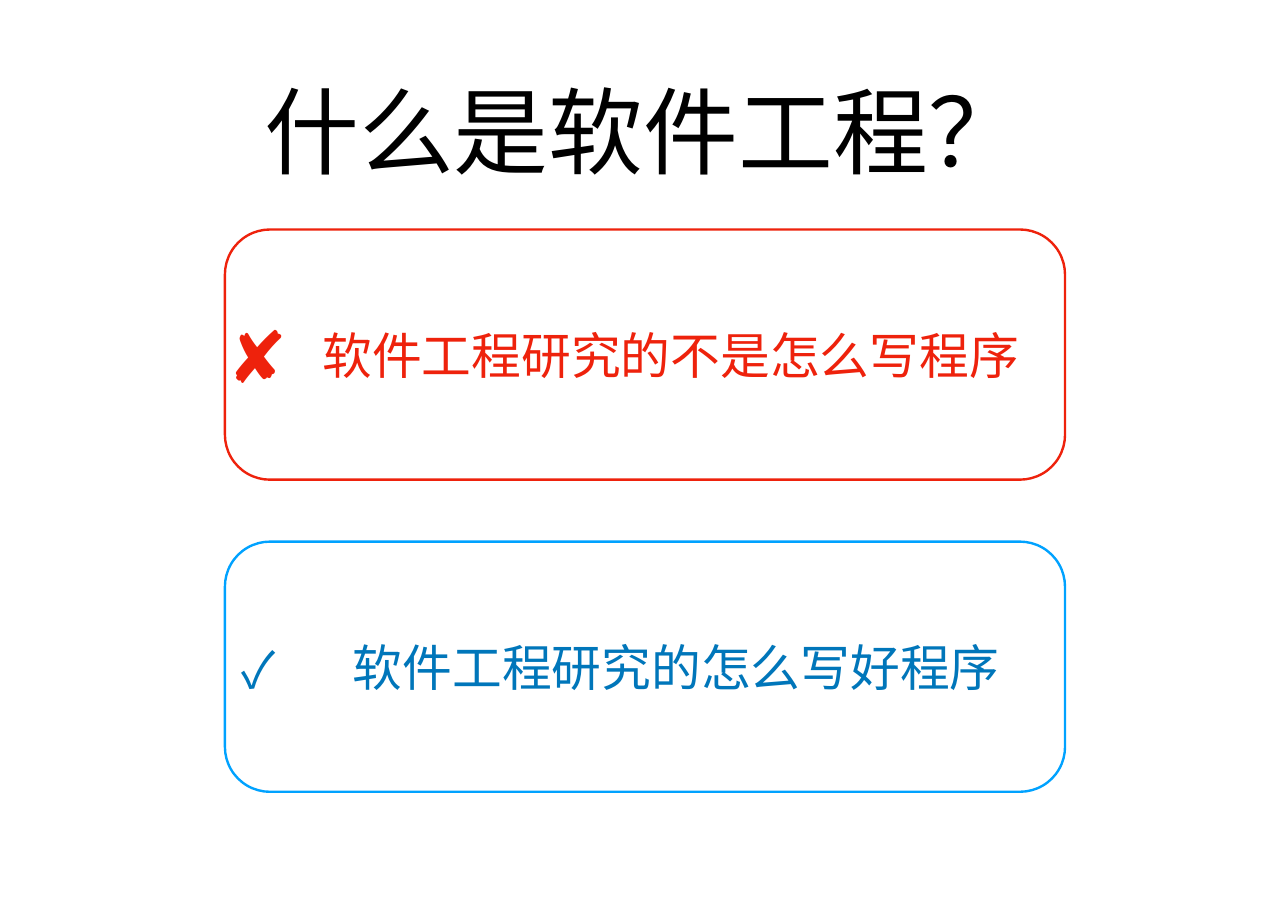
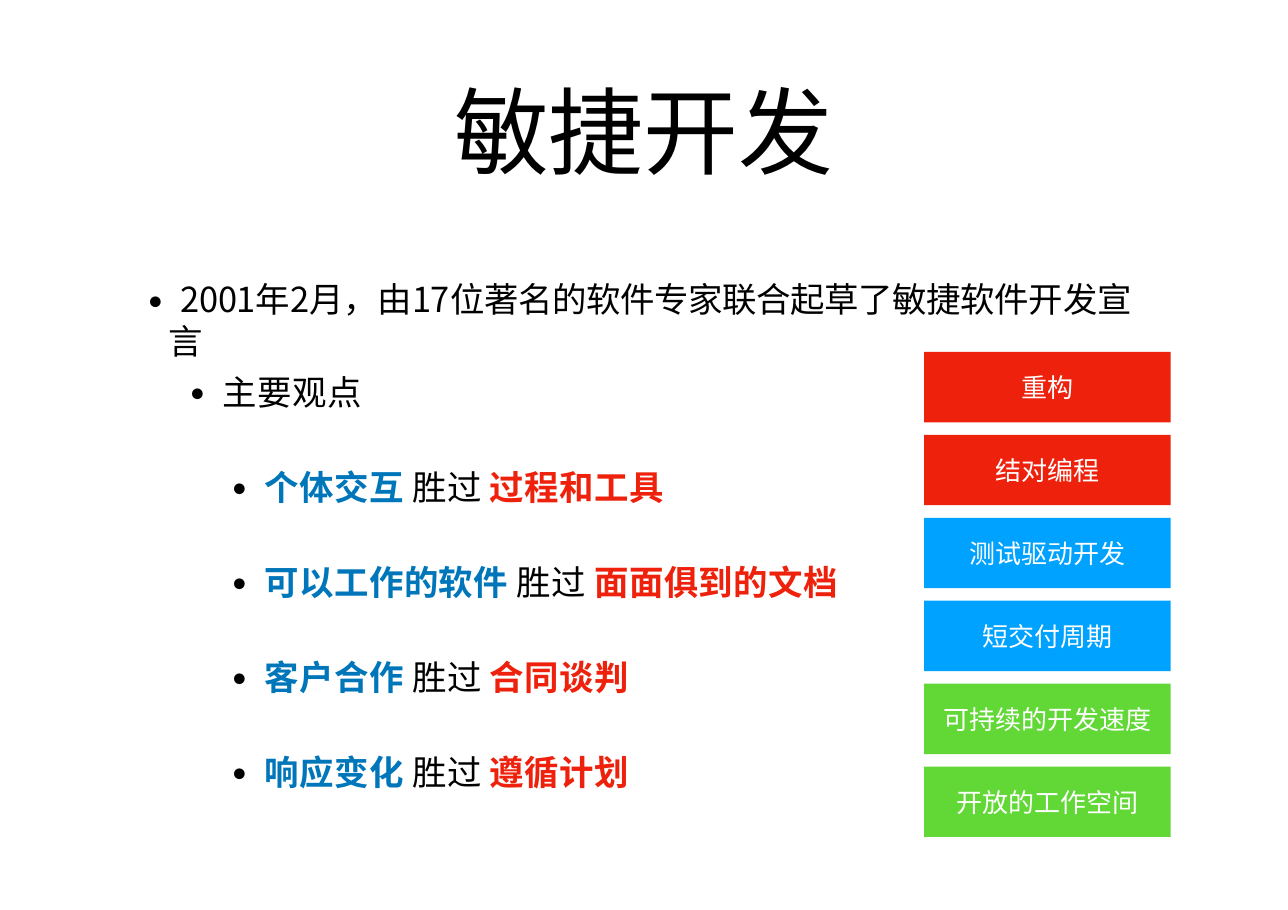
from pptx import Presentation
from pptx.dml.color import RGBColor
from pptx.enum.shapes import MSO_SHAPE
from pptx.enum.text import MSO_ANCHOR, PP_ALIGN
from pptx.oxml.ns import qn
from pptx.util import Pt
from lxml.etree import SubElement

WIDE, HIGH = 841.68, 594.72
SC, TC, JP = (f"Noto Sans CJK {code}" for code in ("SC", "TC", "JP"))
BLACK, WHITE = "000000", "FFFFFF"
RED, BLUE, SKY, GREEN = "EE220C", "0076BA", "00A2FF", "61D836"


def tint(code):
    """Turn a hex string into a colour."""
    return RGBColor.from_string(code)


def write(para, text, size=22.5, font=SC, color=BLACK, bold=False, space=0):
    """Add a formatted run to a paragraph."""
    run = para.add_run()
    run.text = text
    run.font.size = Pt(size)
    run.font.bold = bold
    run.font.color.rgb = tint(color)
    run.font.name = font
    props = run.font._element
    if space:
        props.set("spc", str(round(space * 100)))
    for tag in ("a:ea", "a:sym"):
        SubElement(props, qn(tag), typeface=font)


def mark(para, sign, left, hang, font, color, scale=100):
    """Give a paragraph a bullet with a hanging indent."""
    props = para._p.get_or_add_pPr()
    props.set("marL", str(Pt(left)))
    props.set("indent", str(-Pt(hang)))
    shade = SubElement(props, qn("a:buClr"))
    SubElement(shade, qn("a:srgbClr"), val=color)
    SubElement(props, qn("a:buSzPct"), val=str(scale * 1000))
    SubElement(props, qn("a:buFont"), typeface=font)
    SubElement(props, qn("a:buChar"), char=sign)


def fit(shape, box, anchor=MSO_ANCHOR.MIDDLE, inset=0):
    """Place a shape and set its text frame."""
    shape.left, shape.top, shape.width, shape.height = map(Pt, box)
    frame = shape.text_frame
    frame.word_wrap = True
    frame.vertical_anchor = anchor
    frame.margin_left = Pt(inset)
    frame.margin_right = frame.margin_top = frame.margin_bottom = 0
    return frame


def panel(slide, kind, box, fill=None, line=None, inset=0):
    """Draw a flat shape and return it with its text frame."""
    shape = slide.shapes.add_shape(kind, *map(Pt, box))
    shape.shadow.inherit = False
    if fill:
        shape.fill.solid()
        shape.fill.fore_color.rgb = tint(fill)
    else:
        shape.fill.background()
    if line:
        shape.line.color.rgb = tint(line)
        shape.line.width = Pt(1.55)
    else:
        shape.line.fill.background()
    return shape, fit(shape, box, inset=inset)


def start(deck, layout, title):
    """Add a slide with the shared title style."""
    slide = deck.slides.add_slide(deck.slide_layouts[layout])
    frame = fit(slide.shapes.title, (60, 48, WIDE - 120, 75), MSO_ANCHOR.TOP)
    para = frame.paragraphs[0]
    para.alignment = PP_ALIGN.CENTER
    para.line_spacing = Pt(74)
    write(para, title, size=62)
    return slide


def card(slide, box, text, color, line, inset):
    """Draw an outlined card and return its paragraph."""
    shape, frame = panel(slide, MSO_SHAPE.ROUNDED_RECTANGLE, box,
                         line=line, inset=inset)
    shape.adjustments[0] = 0.18
    para = frame.paragraphs[0]
    para.alignment = PP_ALIGN.LEFT
    write(para, text, size=32.5, font=TC, color=color)
    return para


def cards(slide, box):
    """Stack the wrong and the right answer in a box."""
    left, top, width, height = box
    tall = 163.5
    card(slide, (left, top, width, tall), "软件⼯程研究的不是怎么写程序",
         RED, RED, 55)
    cross = slide.shapes.add_textbox(0, 0, 0, 0)
    frame = fit(cross, (left + 2, top, 40, tall))
    write(frame.paragraphs[0], "✘", size=47, font=JP, color=RED)
    para = card(slide, (left, top + height - tall, width, tall),
                "软件⼯程研究的怎么写好程序", BLUE, SKY, 2)
    mark(para, "✓", 73, 73, JP, BLUE)


def points(slide, box):
    """Fill the body with the manifesto and its values."""
    frame = fit(slide.placeholders[1], box, MSO_ANCHOR.TOP)
    rows = [
        (0, 1.3, -0.3, ["2001年2⽉，由17位著名的软件专家联合起草了敏捷软件开发宣⾔"]),
        (1, 6.5, 0.2, ["主要观点"]),
    ]
    for good, bad in (("个体交互", "过程和⼯具"),
                      ("可以⼯作的软件", "⾯⾯俱到的⽂档"),
                      ("客户合作", "合同谈判"),
                      ("响应变化", "遵循计划")):
        rows.append((2, 35, 0.2, [good + " ", "胜过 ", bad]))
    for index, (level, before, space, parts) in enumerate(rows):
        para = frame.add_paragraph() if index else frame.paragraphs[0]
        para.level = level
        para.space_before = Pt(before)
        para.line_spacing = Pt(27)
        mark(para, "•", 26 + 27.5 * level, 25, SC, BLACK, 147)
        colors = (BLUE, BLACK, RED) if level == 2 else (BLACK,)
        for part, color in zip(parts, colors):
            write(para, part, color=color, bold=color != BLACK, space=space)


def tiles(slide, box):
    """Stack the practice tiles evenly in a box."""
    left, top, width, height = box
    names = ("重构", "结对编程", "测试驱动开发",
             "短交付周期", "可持续的开发速度", "开放的⼯作空间")
    fills = (RED, RED, SKY, SKY, GREEN, GREEN)
    tall = 46
    step = (height - tall) / (len(names) - 1)
    for index, (name, fill) in enumerate(zip(names, fills)):
        place = (left, top + index * step, width, tall)
        frame = panel(slide, MSO_SHAPE.RECTANGLE, place, fill=fill)[1]
        para = frame.paragraphs[0]
        para.alignment = PP_ALIGN.CENTER
        write(para, name, size=17, font=TC, color=WHITE)


def main():
    """Build and save the deck."""
    deck = Presentation()
    deck.slide_width, deck.slide_height = Pt(WIDE), Pt(HIGH)
    cards(start(deck, 5, "什么是软件⼯程？"), (147, 150, 549, 367.5))
    slide = start(deck, 1, "敏捷开发")
    points(slide, (84, 182, 660, 340))
    tiles(slide, (604, 230, 161, 317))
    deck.save("out.pptx")


if __name__ == "__main__":
    main()
